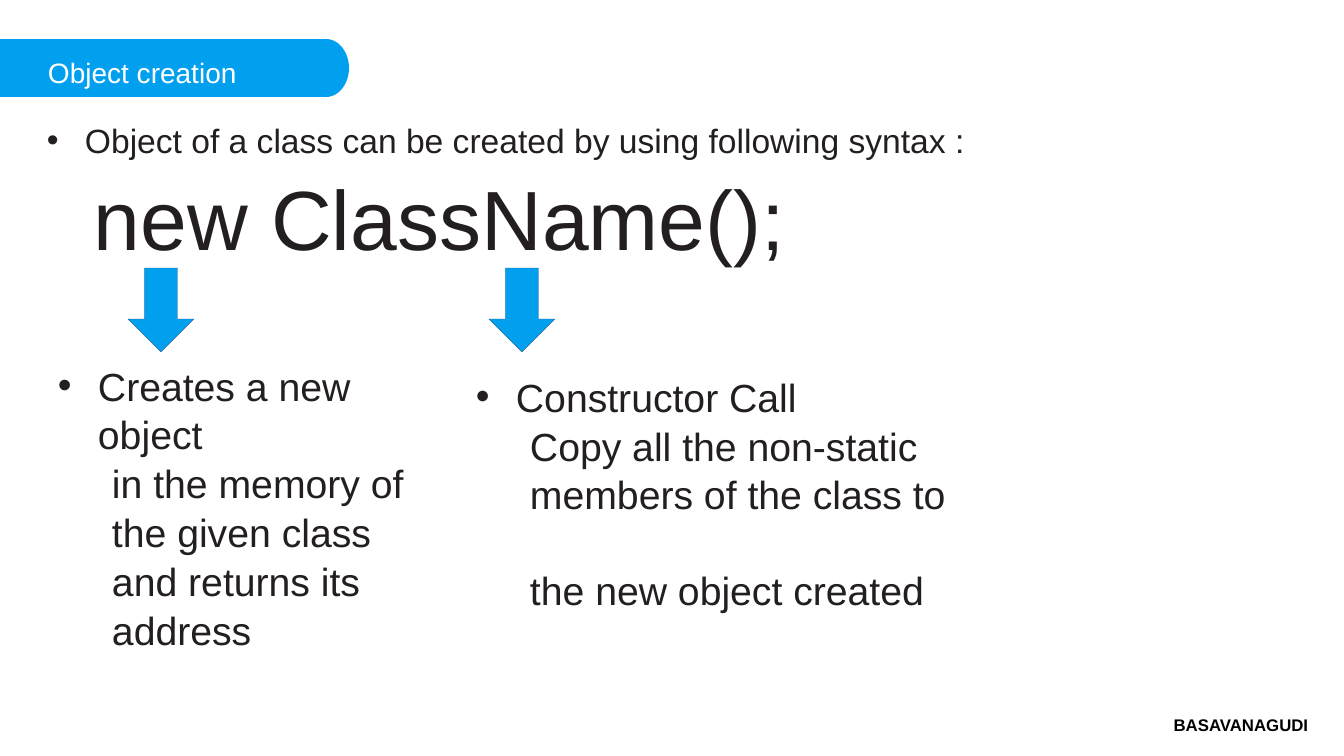
"""Build the slide that explains object creation syntax."""
from lxml.etree import SubElement
from pptx import Presentation
from pptx.dml.color import RGBColor
from pptx.enum.shapes import MSO_SHAPE as SHAPE
from pptx.enum.text import MSO_ANCHOR as ANCHOR, PP_ALIGN as ALIGN
from pptx.oxml.ns import qn
from pptx.util import Pt

PX = 9144000 // 1008 * 10 // 10
PX = round(914400 / 100.8)
COLORS = {"blue": "00A0EF", "outline": "32538F", "ink": "231F20",
          "white": "FFFFFF", "black": "000000"}

TITLE = "Object creation"
FOOTER = "BASAVANAGUDI"
SYNTAX_BOX = (43, 115, 1258, 140)
SYNTAX = [
    ("Object of a class can be created by using following syntax :",
     dict(size=24, bullet=True, left=39, hang=38)),
    ("new ClassName();", dict(size=60, left=48, before=2)),
]
NOTES = [
    ((54, 357, 386, 277), "Creates a new object",
     ["in the memory of", "the given class", "and returns its", "address"], 0),
    ((472, 368, 488, 188), "Constructor Call",
     ["Copy all the non-static", "members of the class to",
      "the new object created"], 33.6),
]
PILL = [(SHAPE.RECTANGLE, (0, 39, 327, 58)), (SHAPE.OVAL, (303, 39, 46, 58))]
ARROWS = [(128, 268, 66, 84), (489, 268, 66, 84)]


def emu(box):
    return [v * PX for v in box]


def rgb(name):
    return RGBColor.from_string(COLORS[name])


def add_shape(s, kind, box, line=None):
    sp = s.shapes.add_shape(kind, *emu(box))
    sp.shadow.inherit = False
    sp.fill.solid()
    sp.fill.fore_color.rgb = rgb("blue")
    if line:
        sp.line.color.rgb = rgb(line)
        sp.line.width = Pt(0.25)
    else:
        sp.line.fill.background()


def set_frame(sp, inset=3, anchor=ANCHOR.TOP):
    tf = sp.text_frame
    tf.word_wrap = True
    tf.vertical_anchor = anchor
    tf.margin_left = tf.margin_right = tf.margin_top = tf.margin_bottom = inset * PX
    return tf


def write(p, text, size=28, color="ink", bold=False, align=ALIGN.LEFT,
          bullet=False, left=0, hang=0, before=0, spacing=1.04):
    p.text = text
    p.alignment = align
    p.line_spacing = spacing
    p.space_before = Pt(before)
    pPr = p._p.get_or_add_pPr()
    pPr.set("marL", str(left * PX))
    pPr.set("indent", str(-hang * PX))
    if bullet:
        SubElement(pPr, qn("a:buFont"), typeface="Arial")
        SubElement(pPr, qn("a:buChar"), char="•")
    else:
        SubElement(pPr, qn("a:buNone"))
    font = p.runs[0].font
    font.name, font.size, font.bold = "Arial", Pt(size), bold
    font.color.rgb = rgb(color)


def add_text(s, box, lines, **frame):
    tf = set_frame(s.shapes.add_textbox(*emu(box)), **frame)
    for i, (text, fmt) in enumerate(lines):
        write(tf.add_paragraph() if i else tf.paragraphs[0], text, **fmt)


def main():
    prs = Presentation()
    prs.slide_width, prs.slide_height = 1344 * PX, 756 * PX
    s = prs.slides.add_slide(prs.slide_layouts[5])

    for kind, box in PILL:
        add_shape(s, kind, box)
    title = s.shapes.title
    title.left, title.top, title.width, title.height = emu((48, 54, 253, 32))
    s.shapes._spTree.append(title._element)
    write(set_frame(title, inset=0).paragraphs[0], TITLE,
          size=20, color="white", spacing=1.04)

    add_text(s, (1141, 712, 200, 26),
             [(FOOTER, dict(size=12, color="black", bold=True,
                            align=ALIGN.CENTER, spacing=1.0))],
             anchor=ANCHOR.MIDDLE)
    add_text(s, SYNTAX_BOX, SYNTAX)
    for box in ARROWS:
        add_shape(s, SHAPE.DOWN_ARROW, box, line="outline")
    for box, head, details, gap in NOTES:
        lines = [(head, dict(bullet=True, left=41, hang=40))]
        lines += [(text, dict(left=55)) for text in details]
        lines[-1][1]["before"] = gap
        add_text(s, box, lines)
    prs.save("out.pptx")


if __name__ == "__main__":
    main()
